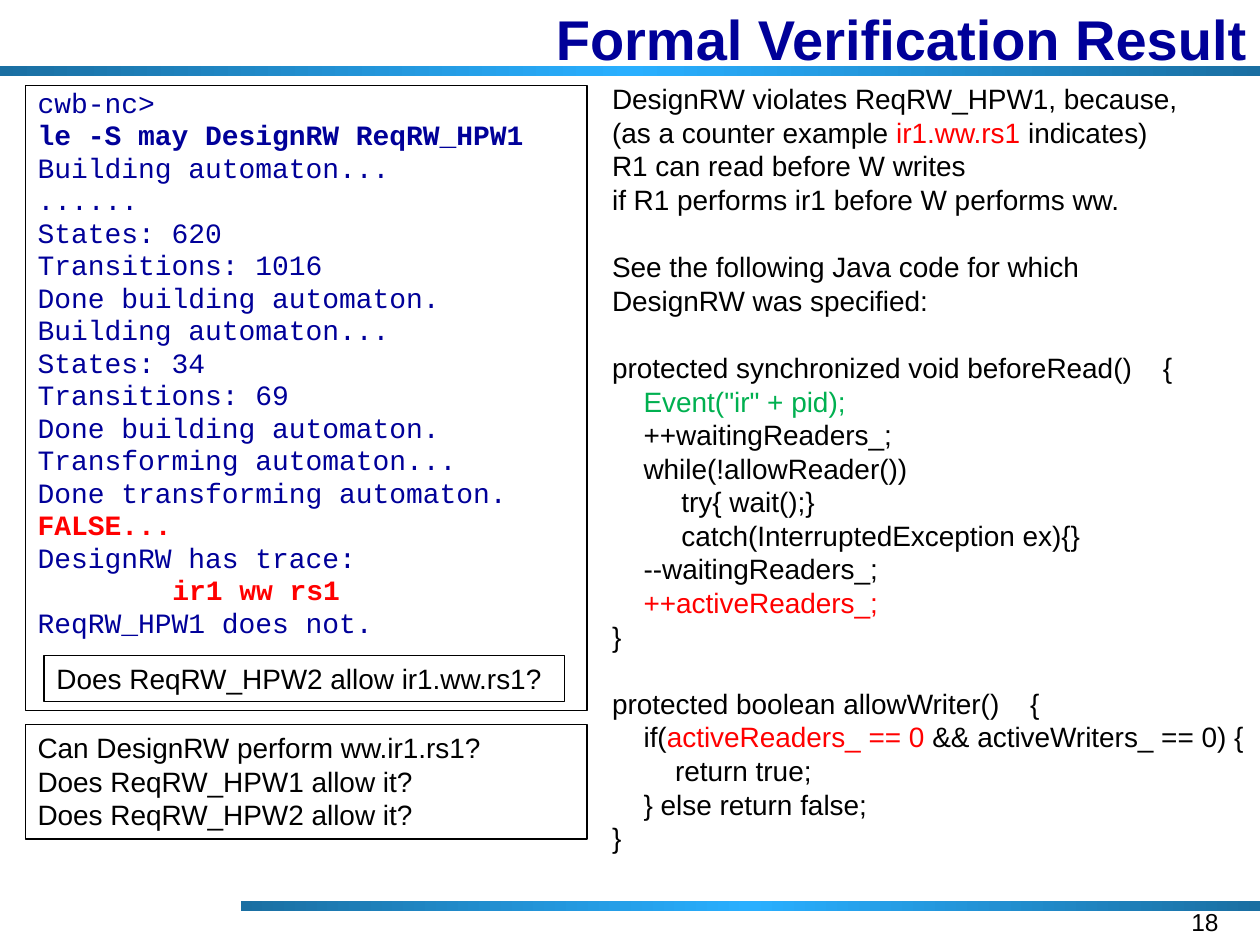
"""Build the formal verification result slide."""
from copy import deepcopy
from dataclasses import dataclass, replace

from pptx import Presentation, util as u
from pptx.dml.color import RGBColor
from pptx.enum import shapes, text
from pptx.oxml.ns import qn

HUES = {"navy": "000099", "black": "000000", "red": "FF0000",
        "green": "00B050", "deep": "1A6FA2", "sky": "29AFFF"}
COLS, ROWS = 100, 75
WIDE, HIGH = u.Inches(10), u.Inches(7.5)
GAP = 19.2
STEP = 0.25


@dataclass(frozen=True)
class Box:
    col: float
    row: float
    cols: float
    rows: float

    def area(self) -> tuple:
        cell = WIDE / COLS, HIGH / ROWS
        return tuple(int(n * cell[i % 2]) for i, n in
                     enumerate((self.col, self.row, self.cols, self.rows)))


@dataclass(frozen=True)
class Style:
    face: str = "Arial"
    size: float = 16
    hue: str = "black"
    bold: bool = False
    side: text.PP_ALIGN = text.PP_ALIGN.LEFT
    space: float = 1
    lead: float = 0


@dataclass(frozen=True)
class Line:
    spans: tuple
    style: Style
    left: float = 0
    lead: float = 0


def hue(name: str) -> RGBColor:
    return RGBColor.from_string(HUES[name])


def add_bar(slide, box: Box) -> None:
    bar = slide.shapes.add_shape(shapes.MSO_SHAPE.RECTANGLE, *box.area())
    bar.shadow.inherit = False
    bar.line.fill.background()
    bar.fill.gradient()
    bar.fill.gradient_angle = 0
    stops = bar._element.spPr.find(qn("a:gradFill")).find(qn("a:gsLst"))
    stops.append(deepcopy(stops[0]))
    for i, (stop, name) in enumerate(zip(bar.fill.gradient_stops,
                                         ("deep", "sky", "deep"))):
        stop.position = i / 2
        stop.color.rgb = hue(name)


def add_line(para, line: Line) -> None:
    style = line.style
    para.alignment = style.side
    para.line_spacing = style.space
    para.space_before = u.Pt(line.lead or style.lead)
    props = para._p.get_or_add_pPr()
    props.set("marL", str(u.Inches(line.left)))
    props.set("indent", "0")
    font = para.font
    font.name, font.size, font.bold = style.face, u.Pt(style.size), style.bold
    font.color.rgb = hue(style.hue)
    for span in line.spans:
        words, name = span if isinstance(span, tuple) else (span, style.hue)
        for i, part in enumerate(words.split("\n")):
            if i:
                para.add_line_break()
            if part:
                run = para.add_run()
                run.text = part
                if name != style.hue:
                    run.font.color.rgb = hue(name)


def add_text(slide, box: Box, lines: list[Line], edge: bool = False,
             mid: bool = False) -> None:
    if edge:
        shape = slide.shapes.add_shape(shapes.MSO_SHAPE.RECTANGLE, *box.area())
        shape.shadow.inherit = False
        shape.fill.background()
        shape.line.color.rgb = hue("black")
        shape.line.width = u.Pt(0.75)
    else:
        shape = slide.shapes.add_textbox(*box.area())
    frame = shape.text_frame
    frame.word_wrap = True
    frame.vertical_anchor = (text.MSO_ANCHOR.MIDDLE if mid
                             else text.MSO_ANCHOR.TOP)
    for i, line in enumerate(lines):
        add_line(frame.add_paragraph() if i else frame.paragraphs[0], line)


BODY = Style()
HEAD = Style(size=32, hue="navy", bold=True, side=text.PP_ALIGN.RIGHT)
PAGE = Style(size=14, side=text.PP_ALIGN.RIGHT)
LOG = Style("Courier New", hue="navy", space=0.8, lead=3.2)
CMD = replace(LOG, bold=True)
FAIL = replace(CMD, hue="red")


def plain(words: str, style: Style = BODY) -> list[Line]:
    return [Line((row,), style) for row in words.split("\n")]


TRACE = [
    *plain("cwb-nc>", LOG),
    *plain("le -S may DesignRW ReqRW_HPW1", CMD),
    *plain("""Building automaton...
......
States: 620
Transitions: 1016
Done building automaton.
Building automaton...
States: 34
Transitions: 69
Done building automaton.
Transforming automaton...
Done transforming automaton.""", LOG),
    *plain("FALSE...", FAIL),
    *plain("DesignRW has trace:", LOG),
    Line(("ir1 ww rs1",), FAIL, left=1.07),
    *plain("ReqRW_HPW1 does not.", LOG),
]

CODE = [
    Line(("DesignRW violates ReqRW_HPW1, because,\n(as a counter example ",
          ("ir1.ww.rs1", "red"),
          " indicates)\nR1 can read before W writes\n"
          "if R1 performs ir1 before W performs ww."), BODY),
    Line(("See the following Java code for which\nDesignRW was specified:",),
         BODY, lead=GAP),
    Line(("protected synchronized void beforeRead()    {",), BODY, lead=GAP),
    Line((('Event("ir" + pid);', "green"),), BODY, STEP),
    Line(("++waitingReaders_;",), BODY, STEP),
    Line(("while(!allowReader())",), BODY, STEP),
    Line(("try{ wait();}",), BODY, 0.55),
    Line(("catch(InterruptedException ex){}",), BODY, 0.55),
    Line(("--waitingReaders_;",), BODY, STEP),
    Line((("++activeReaders_;", "red"),), BODY, STEP),
    *plain("}"),
    Line(("protected boolean allowWriter()    {",), BODY, lead=GAP),
    Line(("if(", ("activeReaders_ == 0", "red"),
          " && activeWriters_ == 0) {"), BODY, STEP),
    Line(("return true;",), BODY, 2 * STEP),
    Line(("} else return false;",), BODY, STEP),
    *plain("}"),
]

ASK = plain("""Can DesignRW perform ww.ir1.rs1?
Does ReqRW_HPW1 allow it?
Does ReqRW_HPW2 allow it?""")


def main() -> None:
    deck = Presentation()
    deck.slide_width, deck.slide_height = WIDE, HIGH
    slide = deck.slides.add_slide(deck.slide_layouts[6])
    add_bar(slide, Box(0, 5.2, 100, 0.8))
    add_bar(slide, Box(19.1, 71.5, 80.9, 0.8))
    add_text(slide, Box(10, 0, 90, 6), plain("Formal Verification Result", HEAD),
             mid=True)
    add_text(slide, Box(2, 6.8, 44.6, 49.6), TRACE, edge=True)
    add_text(slide, Box(74.4, 71.5, 23.3, 3.5), plain("18", PAGE))
    add_text(slide, Box(47.6, 6, 52.4, 62.9), CODE)
    add_text(slide, Box(2, 57.5, 44.6, 9.1), ASK, edge=True)
    add_text(slide, Box(3.5, 52, 41.3, 3.7),
             plain("Does ReqRW_HPW2 allow ir1.ww.rs1?"), edge=True)
    deck.save("out.pptx")


if __name__ == "__main__":
    main()
